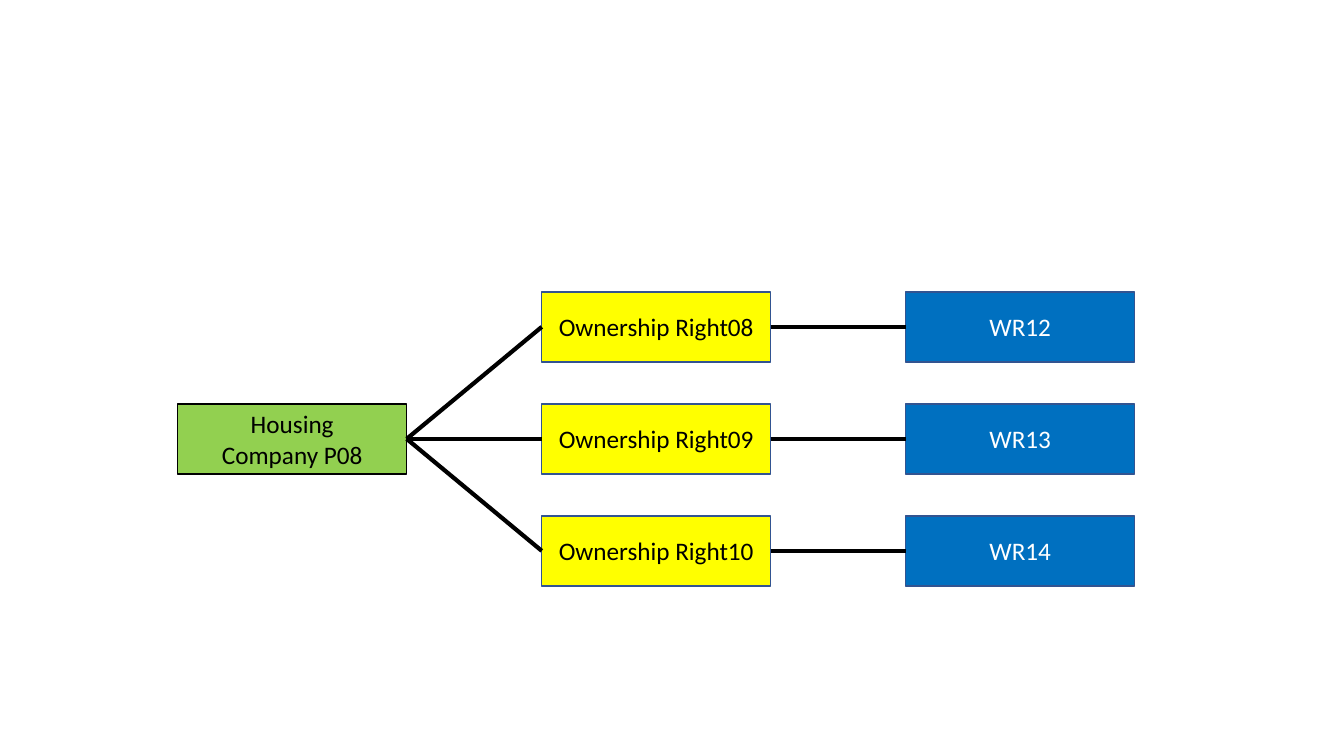
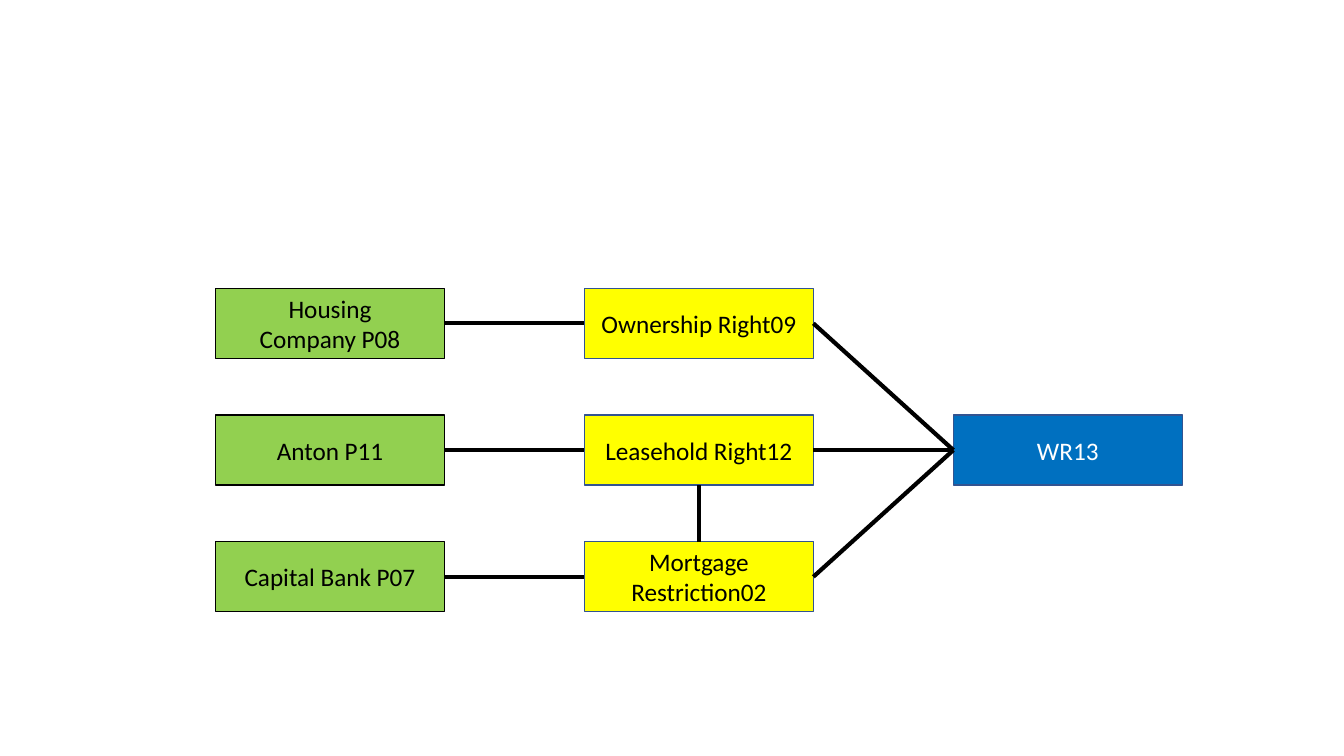
"""Build two diagrams linking parties, rights and registered units."""
from dataclasses import dataclass
from itertools import product

from lxml.etree import SubElement
from pptx import Presentation
from pptx.dml.color import RGBColor
from pptx.enum.shapes import MSO_CONNECTOR, MSO_SHAPE
from pptx.enum.text import MSO_ANCHOR, PP_ALIGN
from pptx.oxml.ns import qn
from pptx.util import Pt


@dataclass(frozen=True)
class Theme:
    """Colours, type and sizes shared by both slides."""
    font: str = "Calibri"
    text_size: float = 18
    node_width: float = 163.5
    node_height: float = 50
    outline_width: float = 1
    link_width: float = 3
    black: str = "000000"
    white: str = "FFFFFF"
    green: str = "92D050"
    yellow: str = "FFFF00"
    blue: str = "0070C0"
    navy: str = "325491"


THEME = Theme()
PARTY = (THEME.green, THEME.black, THEME.black)
RIGHT = (THEME.yellow, THEME.navy, THEME.black)
UNIT = (THEME.blue, THEME.navy, THEME.white)
TOP_SITE, LEFT_SITE, BOTTOM_SITE, RIGHT_SITE = range(4)


def add_node(slide, left, top, label, role):
    """Draw one labelled node in the colours of its role."""
    fill, outline, ink = role
    node = slide.shapes.add_shape(
        MSO_SHAPE.RECTANGLE, Pt(left), Pt(top),
        Pt(THEME.node_width), Pt(THEME.node_height))
    node.shadow.inherit = False
    node.fill.solid()
    node.fill.fore_color.rgb = RGBColor.from_string(fill)
    node.line.color.rgb = RGBColor.from_string(outline)
    node.line.width = Pt(THEME.outline_width)
    frame = node.text_frame
    frame.word_wrap = True
    frame.vertical_anchor = MSO_ANCHOR.MIDDLE
    for index, words in enumerate(label.split("\n")):
        paragraph = frame.add_paragraph() if index else frame.paragraphs[0]
        paragraph.alignment = PP_ALIGN.CENTER
        run = paragraph.add_run()
        run.text = words
        run.font.name = THEME.font
        run.font.size = Pt(THEME.text_size)
        run.font.color.rgb = RGBColor.from_string(ink)
    return node


def add_link(slide, start, end, start_site=RIGHT_SITE, end_site=LEFT_SITE):
    """Join two nodes with a line glued to their sides."""
    link = slide.shapes.add_connector(MSO_CONNECTOR.STRAIGHT, 0, 0, 0, 0)
    link.begin_connect(start, start_site)
    link.end_connect(end, end_site)
    link.line.color.rgb = RGBColor.from_string(THEME.black)
    link.line.width = Pt(THEME.link_width)
    SubElement(link._element.spPr, qn("a:effectLst"))


def add_diagram(slide, box, parties, rights, units):
    """Spread three columns over the box and link neighbouring columns."""
    left, top, width, height = box
    column_pitch = (width - THEME.node_width) / 2
    row_space = height - THEME.node_height
    columns = []
    for column, (labels, role) in enumerate(
            ((parties, PARTY), (rights, RIGHT), (units, UNIT))):
        steps = len(labels) - 1
        columns.append([
            add_node(slide, left + column * column_pitch,
                     top + row_space * (row / steps if steps else 0.5),
                     label, role)
            for row, label in enumerate(labels)])
    for starts, ends in zip(columns, columns[1:]):
        matched = len(starts) == len(ends)
        for start, end in zip(starts, ends) if matched else product(starts, ends):
            add_link(slide, start, end)
    return columns


def add_ownership_slide(deck):
    """Show one company holding three ownership rights."""
    slide = deck.slides.add_slide(deck.slide_layouts[6])
    add_diagram(
        slide, (127, 208.5, 683.5, 210), ["Housing\nCompany P08"],
        ["Ownership Right08", "Ownership Right09", "Ownership Right10"],
        ["WR12", "WR13", "WR14"])


def add_encumbrance_slide(deck):
    """Show three parties with rights in one unit."""
    slide = deck.slides.add_slide(deck.slide_layouts[6])
    _, rights, _ = add_diagram(
        slide, (154, 206, 690.5, 231),
        ["Housing\nCompany P08", "Anton P11", "Capital Bank P07"],
        ["Ownership Right09", "Leasehold Right12", "Mortgage Restriction02"],
        ["WR13"])
    _, leasehold, mortgage = rights
    add_link(slide, mortgage, leasehold, TOP_SITE, BOTTOM_SITE)


def main():
    """Build and save the deck."""
    deck = Presentation()
    deck.slide_width, deck.slide_height = Pt(960), Pt(540)
    add_ownership_slide(deck)
    add_encumbrance_slide(deck)
    deck.save("out.pptx")


main()
